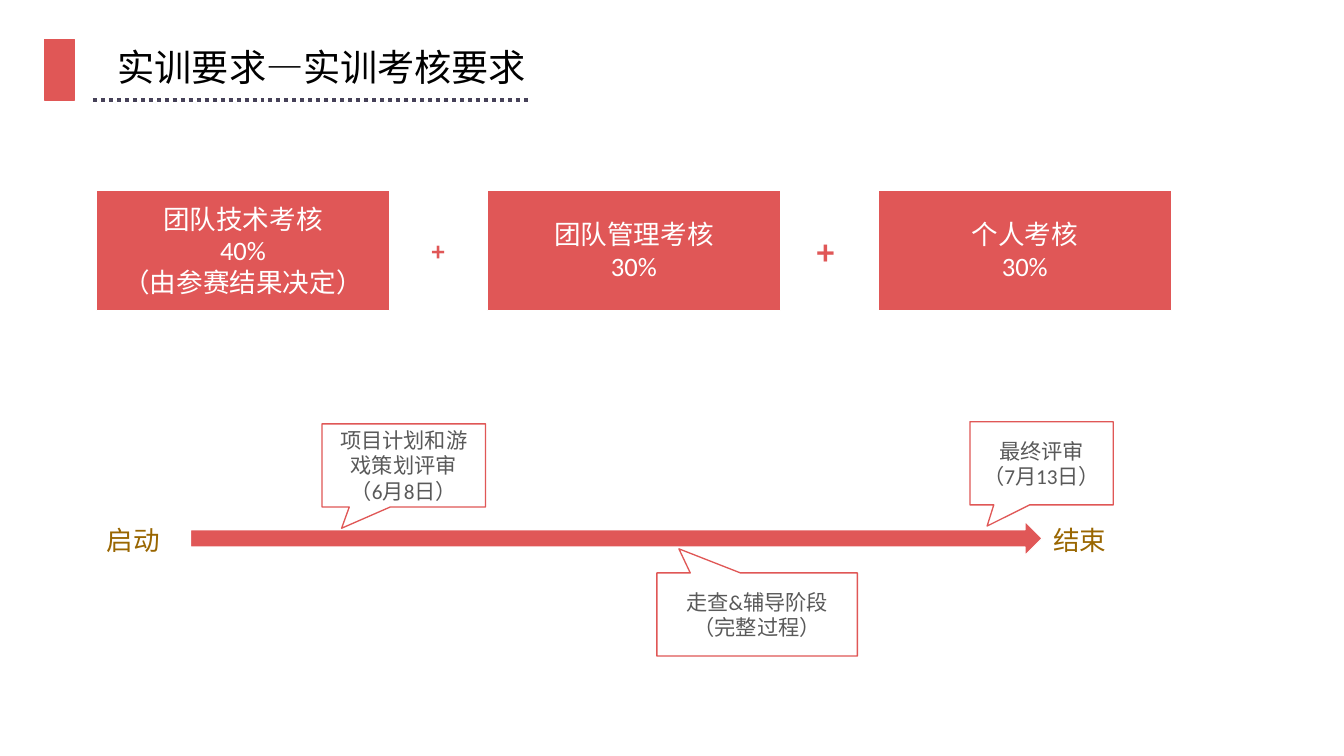
from lxml import etree
from pptx import Presentation
from pptx.dml.color import RGBColor
from pptx.enum import dml, shapes, text
from pptx.oxml.ns import qn
from pptx.util import Inches, Pt

WIDTH, HEIGHT = 14.06, 7.91
COL, ROW = WIDTH / 24, HEIGHT / 14  # grid units; boxes are in columns and rows
COLORS = {"red": "E05757", "outline": "E05756", "white": "FFFFFF", "dots": "474259",
          "title": "000000", "body": "595959", "gold": "996600"}
SANS, LATIN = "Noto Sans CJK SC", "Calibri"
SHAPE, ALIGN, ANCHOR = shapes.MSO_SHAPE, text.PP_ALIGN, text.MSO_ANCHOR


def rgb(name):
    return RGBColor.from_string(COLORS[name])


def place(box):
    x, y, w, h = box
    return Inches(x * COL), Inches(y * ROW), Inches(w * COL), Inches(h * ROW)


def within(box, x, y, w, h):
    """Box whose corner is offset from the corner of a region."""
    return box[0] + x, box[1] + y, w, h


def write(sp, lines, size, color, font=LATIN, align=ALIGN.CENTER,
          anchor=ANCHOR.MIDDLE, spacing=None, bold=False):
    tf = sp.text_frame
    tf.text = "\n".join(lines)
    tf.word_wrap = True
    tf.auto_size = text.MSO_AUTO_SIZE.NONE
    tf.vertical_anchor = anchor
    for p in tf.paragraphs:
        p.alignment = align
        if spacing:
            p.line_spacing = spacing
        for r in p.runs:
            r.font.size, r.font.bold, r.font.name = Pt(size), bold, font
            r.font.color.rgb = rgb(color)
            ea = etree.SubElement(r._r.get_or_add_rPr(), qn("a:ea"))
            ea.set("typeface", SANS)


def add_shape(s, kind, box, fill, line):
    sp = s.shapes.add_shape(kind, *place(box))
    sp.shadow.inherit = False
    if fill:
        sp.fill.solid()
        sp.fill.fore_color.rgb = rgb(fill)
    else:
        sp.fill.background()
    sp.line.color.rgb = rgb(line)
    sp.line.width = Pt(1)
    return sp


def add_label(s, box, label, size, color, bold=False, anchor=ANCHOR.MIDDLE):
    sp = s.shapes.add_textbox(*place(box))
    write(sp, [label], size, color, SANS, ALIGN.LEFT, anchor, 1.5, bold)


def header(s, box):
    x, y, w, h = box
    add_shape(s, SHAPE.RECTANGLE, (x, y, 0.53, h), "outline", "outline")

    # Dotted rule under the title
    left, base = Inches((x + 0.86) * COL), Inches((y + h) * ROW)
    rule = s.shapes.add_connector(shapes.MSO_CONNECTOR.STRAIGHT, left, base,
                                  left + Inches(7.8 * COL), base)
    rule.line.color.rgb = rgb("dots")
    rule.line.width = Pt(3)
    rule.line.dash_style = dml.MSO_LINE.ROUND_DOT
    etree.SubElement(rule._element.spPr, qn("a:effectLst"))

    title = s.shapes.title
    title.left, title.top, title.width, title.height = place(
        within(box, 1.13, 0, w - 1.13, 1.01))
    write(title, ["实训要求—实训考核要求"], 28, "title", SANS, ALIGN.LEFT, ANCHOR.TOP)


def assessment(s, box):
    cards = [["团队技术考核", "40%", "（由参赛结果决定）"],
             ["团队管理考核", "30%"],
             ["个人考核", "30%"]]
    card_w = 5.24
    pitch = (box[2] - card_w) / (len(cards) - 1)
    for i, lines in enumerate(cards):
        sp = add_shape(s, SHAPE.RECTANGLE, within(box, i * pitch, 0, card_w, box[3]),
                       "red", "white")
        write(sp, lines, 20, "white")

    # Plus signs between the cards
    add_label(s, within(box, 5.81, 0.53, 0.65, 0.88), "+", 18, "red", True, ANCHOR.TOP)
    add_label(s, within(box, 12.7, 0.32, 1.38, 1.31), "+", 24, "red", True)


def timeline(s, box):
    label_w = 1.38
    add_shape(s, SHAPE.RIGHT_ARROW, within(box, 1.66, 1.84, 15.21, 0.64), "red", "white")
    for x, label in ((0, "启动"), (box[2] - label_w, "结束")):
        add_label(s, within(box, x, 1.38, label_w, 1.31), label, 20, "gold")

    # Callouts: left, top, width, pointer tip, lines
    above, below = (-0.38, 0.755), (-0.39, -0.79)
    callouts = [(4.01, 0.04, 2.92, above, ["项目计划和游戏策划评审", "（6月8日）"]),
                (9.99, 2.8, 3.58, below, ["走查&辅导阶段", "（完整过程）"]),
                (15.58, 0, 2.56, above, ["最终评审", "（7月13日）"])]
    for x, y, w, tip, lines in callouts:
        sp = add_shape(s, SHAPE.RECTANGULAR_CALLOUT, within(box, x, y, w, 1.54),
                       None, "outline")
        sp.adjustments[0], sp.adjustments[1] = tip
        write(sp, lines, 16, "body")


def main():
    prs = Presentation()
    prs.slide_width, prs.slide_height = Inches(WIDTH), Inches(HEIGHT)
    s = prs.slides.add_slide(prs.slide_layouts[5])
    header(s, (0.8, 0.73, 9.87, 1.12))
    assessment(s, (1.72, 3.52, 19.2, 2.23))
    timeline(s, (1.74, 7.81, 18.28, 4.34))
    prs.save("out.pptx")


if __name__ == "__main__":
    main()
